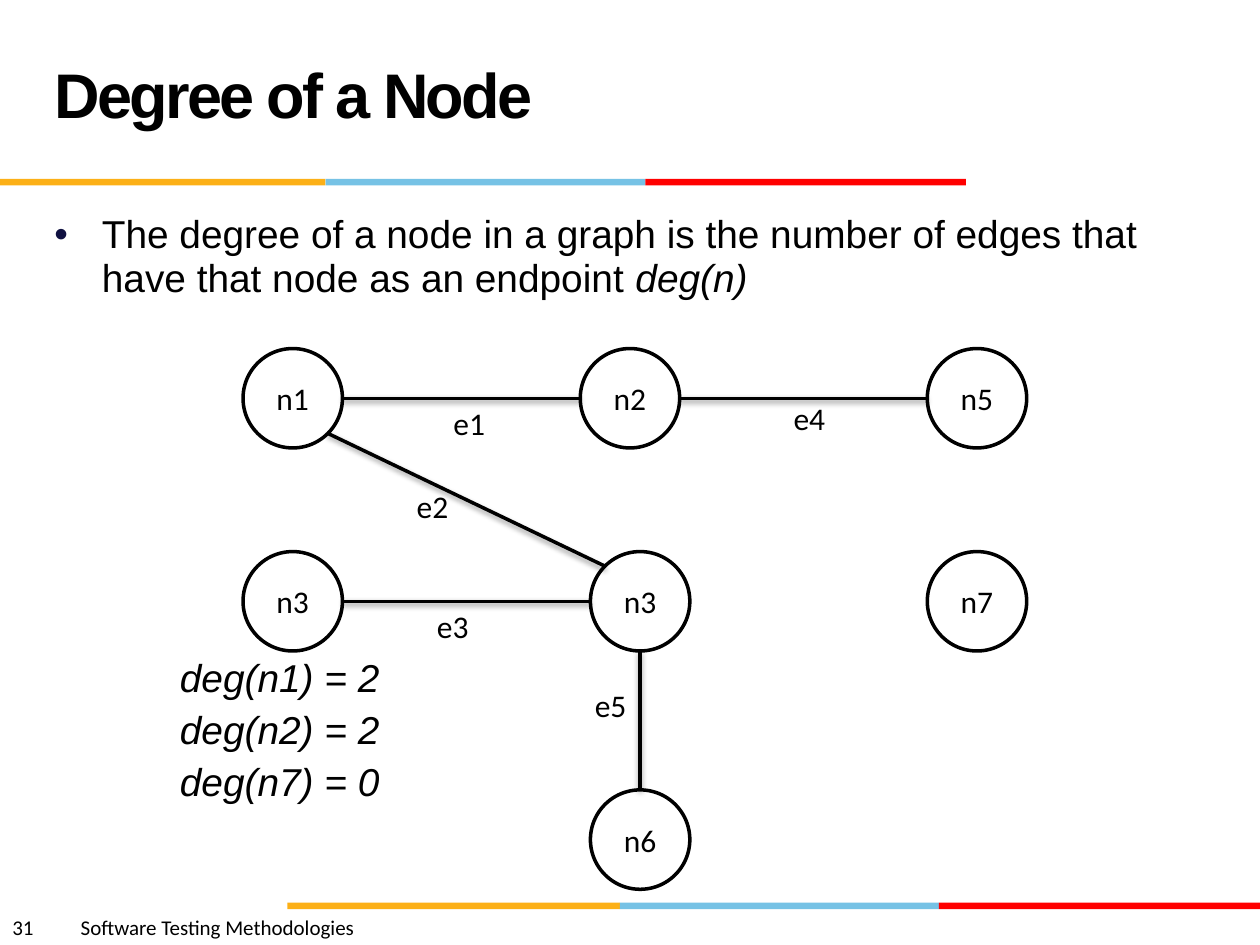
from math import cos, radians, sin

from lxml import etree
from pptx import Presentation
from pptx.dml.color import RGBColor
from pptx.enum import shapes, text
from pptx.oxml import ns
from pptx.util import Pt

COLORS = {"ink": "000000", "paper": "FFFFFF", "bullet": "101141",
          "orange": "FCB017", "blue": "76C2E5", "red": "FF0000"}

TITLE = "Degree of a Node"
DEFINITION = [("The degree of a node in a graph is the number of edges that "
               "have that node as an endpoint ", False), ("deg(n)", True)]
DEGREES = ["deg(n1) = 2", "deg(n2) = 2", "deg(n7) = 0"]
FOOTER = [("31", 0, 39), ("Software Testing Methodologies", 39, 320)]

# Top of each rule, then the x positions where its colours change
RULES = [(102.2, (0, 186, 368.8, 552)), (515.8, (164.2, 354.2, 536.6, 720))]
RULE_COLORS = ["orange", "blue", "red"]
RULE_HEIGHT = 3.8

RADIUS = 28.4
ROWS = {"top": 227.6, "middle": 343.6, "bottom": 479.8}
NODES = {  # key: label, centre x, row
    "n1": ("n1", 167.3, "top"), "n2": ("n2", 360, "top"),
    "n5": ("n5", 558.3, "top"), "left n3": ("n3", 167.3, "middle"),
    "n3": ("n3", 365.8, "middle"), "n7": ("n7", 558.3, "middle"),
    "n6": ("n6", 365.8, "bottom")}
EDGES = [  # label, label left and top, from, to, angle at which it leaves
    ("e1", 252, 227.6, "n1", "n2", 0), ("e4", 446.4, 224.6, "n2", "n5", 0),
    ("e3", 242.6, 343.6, "left n3", "n3", 0),
    ("e2", 231, 275, "n1", "n3", 45), ("e5", 332.8, 388.4, "n3", "n6", 90)]

BODY = {"name": "Arial", "size": Pt(22.2)}
LABEL = {"name": "Calibri", "size": Pt(18)}
SMALL = {"name": "Calibri", "size": Pt(12)}


def color(name):
    return RGBColor.from_string(COLORS[name])


def assign(target, **values):
    for name, value in values.items():
        setattr(target, name, value)


def place(shape, *lengths):
    assign(shape, **dict(zip(("left", "top", "width", "height"),
                             map(Pt, lengths))))


def add_span(para, words, **font):
    span = para.add_run()
    span.text = words
    assign(span.font, **font)
    span.font.color.rgb = color("ink")
    return span


def add_child(parent, tag, **attributes):
    return etree.SubElement(parent, ns.qn(tag), attributes)


def add_preset(page, kind, fill, *lengths):
    shape = page.shapes.add_shape(kind, *map(Pt, lengths))
    shape.shadow.inherit = False
    shape.fill.solid()
    shape.fill.fore_color.rgb = color(fill)
    shape.line.fill.background()
    return shape


def add_label(page, words, font, *lengths):
    frame = page.shapes.add_textbox(*map(Pt, lengths)).text_frame
    frame.word_wrap = False
    add_span(frame.paragraphs[0], words, **font)


def add_rules(page):
    for top, stops in RULES:
        for name, left, right in zip(RULE_COLORS, stops, stops[1:]):
            add_preset(page, shapes.MSO_SHAPE.RECTANGLE, name,
                       left, top, right - left, RULE_HEIGHT)


def add_title(page):
    title = page.shapes.title
    place(title, 23.8, 12.2, 498, 90)
    assign(title.text_frame, vertical_anchor=text.MSO_ANCHOR.MIDDLE,
           auto_size=text.MSO_AUTO_SIZE.NONE)
    para = title.text_frame.paragraphs[0]
    assign(para, alignment=text.PP_ALIGN.LEFT, line_spacing=Pt(36))
    span = add_span(para, TITLE, name="Arial", size=Pt(36), bold=True)
    span.font._element.set("spc", "-150")


def add_body(page):
    body = page.placeholders[1]
    place(body, 23.8, 118.4, 648, 356)
    frame = body.text_frame
    frame.auto_size = text.MSO_AUTO_SIZE.NONE

    para = frame.paragraphs[0]
    assign(para, line_spacing=0.94, space_before=Pt(0))
    for words, italic in DEFINITION:
        add_span(para, words, italic=italic, **BODY)
    props = para._p.get_or_add_pPr()
    assign_indent(props, 27.2, -27.2)
    add_child(add_child(props, "a:buClr"), "a:srgbClr", val=COLORS["bullet"])
    add_child(props, "a:buFont", typeface="Arial")
    add_child(props, "a:buChar", char="•")

    for index, words in enumerate(DEGREES):
        para = frame.add_paragraph()
        # The first line leaves room for the graph
        assign(para, line_spacing=0.94,
               space_before=Pt(4.6 if index else 203.4))
        add_span(para, words, italic=True, **BODY)
        props = para._p.get_or_add_pPr()
        assign_indent(props, 71.8, 0)
        add_child(props, "a:buNone")


def assign_indent(props, left, first):
    props.set("marL", str(Pt(left)))
    props.set("indent", str(Pt(first)))


def add_node(page, label, x, row):
    node = add_preset(page, shapes.MSO_SHAPE.OVAL, "paper", x - RADIUS,
                      ROWS[row] - RADIUS, 2 * RADIUS, 2 * RADIUS)
    assign(node.line, width=Pt(2))
    node.line.color.rgb = color("ink")
    assign(node.text_frame, word_wrap=False,
           vertical_anchor=text.MSO_ANCHOR.MIDDLE)
    para = node.text_frame.paragraphs[0]
    para.alignment = text.PP_ALIGN.CENTER
    add_span(para, label, **LABEL)


def rim_point(key, angle):
    _, x, row = NODES[key]
    return (x + RADIUS * cos(radians(angle)),
            ROWS[row] + RADIUS * sin(radians(angle)))


def add_edge(page, start, end, angle):
    points = rim_point(start, angle) + rim_point(end, angle + 180)
    edge = page.shapes.add_connector(shapes.MSO_CONNECTOR.STRAIGHT,
                                     *map(Pt, points))
    edge.line.width = Pt(2)
    edge.line.color.rgb = color("ink")
    effects = add_child(edge._element.spPr, "a:effectLst")
    shadow = add_child(effects, "a:outerShdw", blurRad=str(Pt(3.1)),
                       dist=str(Pt(1.6)), dir="5400000", rotWithShape="0")
    tint = add_child(shadow, "a:srgbClr", val=COLORS["ink"])
    add_child(tint, "a:alpha", val="38000")


def main():
    deck = Presentation()
    assign(deck, slide_width=Pt(720), slide_height=Pt(540))
    page = deck.slides.add_slide(deck.slide_layouts[1])
    add_rules(page)
    for words, left, width in FOOTER:
        add_label(page, words, SMALL, left, 519.2, width, 21.6)
    add_body(page)
    add_title(page)
    for node in NODES.values():
        add_node(page, *node)
    for label, left, top, start, end, angle in EDGES:
        add_edge(page, start, end, angle)
        add_label(page, label, LABEL, left, top, 33.2, 29)
    deck.save("out.pptx")


if __name__ == "__main__":
    main()
